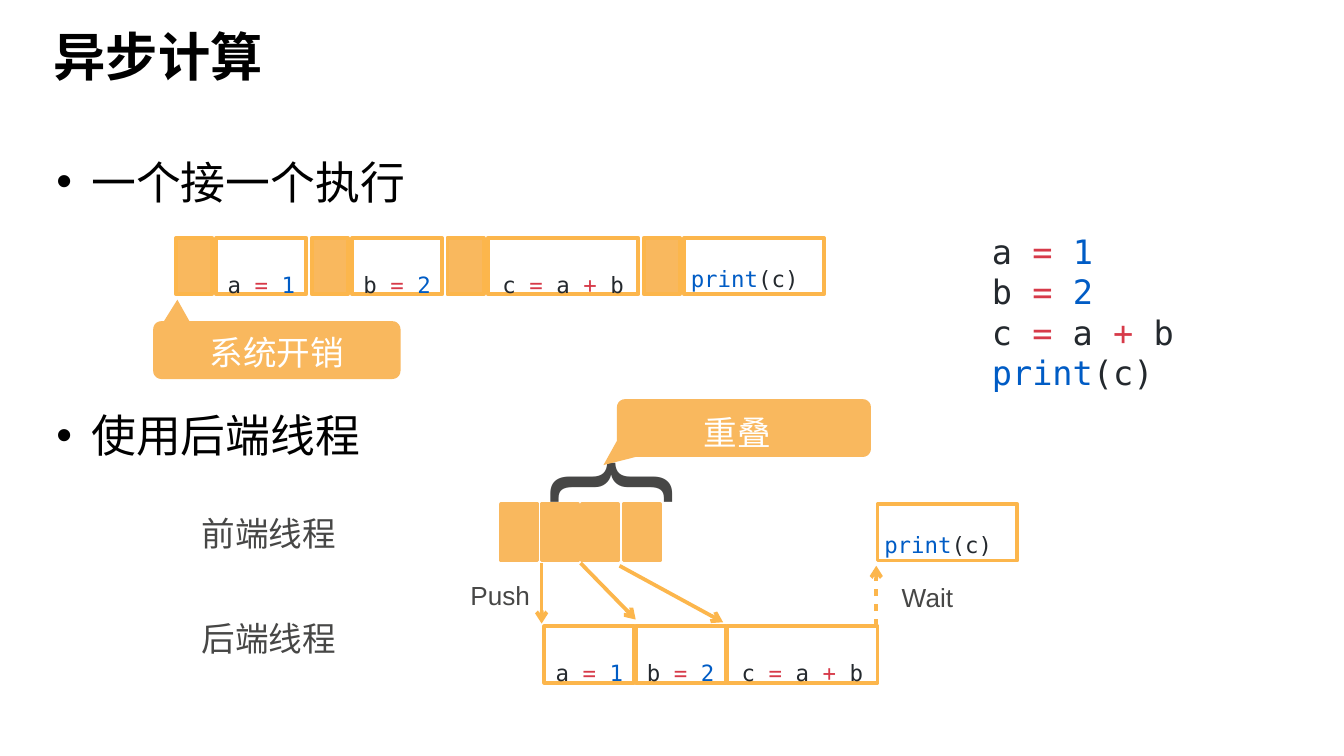
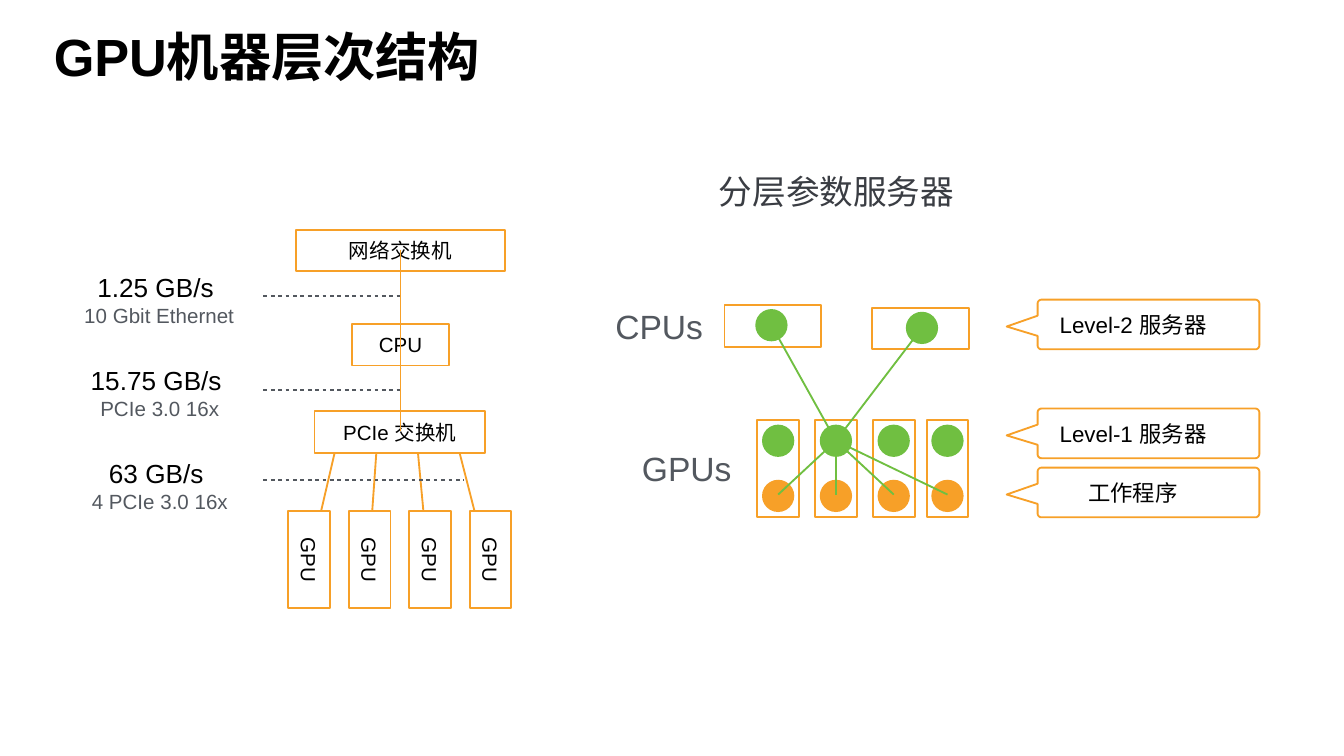
from math import cos, radians, sin

from lxml.etree import SubElement
from pptx import Presentation
from pptx.dml.color import RGBColor
from pptx.enum.shapes import MSO_CONNECTOR, MSO_SHAPE
from pptx.enum.text import MSO_ANCHOR, MSO_AUTO_SIZE, PP_ALIGN
from pptx.oxml.ns import qn
from pptx.util import Inches, Pt

# Shared colours and fonts
BLACK, WHITE, GRAY, SLATE = "000000", "FFFFFF", "474746", "53585F"
AMBER, AMBER_LINE, ORANGE, GREEN = "F9B85E", "FCB64C", "F7A028", "70BF41"
CODE, RED, BLUE = "24292E", "D73A49", "005CC5"
TOKENS = {"=": RED, "+": RED, "1": BLUE, "2": BLUE, "print": BLUE}
SANS, MONO = "Arial", "DejaVu Sans Mono"
LEFT, CENTER = PP_ALIGN.LEFT, PP_ALIGN.CENTER
TOP, MIDDLE, BOTTOM = MSO_ANCHOR.TOP, MSO_ANCHOR.MIDDLE, MSO_ANCHOR.BOTTOM
RECT, OVAL = MSO_SHAPE.RECTANGLE, MSO_SHAPE.OVAL


def paint(shape, fill=None, line=None, width=1):
    """Set fill and outline; None leaves either one out."""
    shape.shadow.inherit = False
    for part, color in ((shape.fill, fill), (shape.line.fill, line)):
        if color:
            part.solid()
            part.fore_color.rgb = RGBColor.from_string(color)
        else:
            part.background()
    if line:
        shape.line.width = Pt(width)


def write(shape, lines, size, color, font=SANS, align=LEFT, anchor=TOP,
          inset=0.05, wrap=True, spacing=None, bold=False):
    """Fill a shape with paragraphs; "|" splits a line into coloured tokens."""
    frame = shape.text_frame
    frame.auto_size = MSO_AUTO_SIZE.NONE
    frame.word_wrap = wrap
    frame.vertical_anchor = anchor
    frame.margin_left = frame.margin_right = Inches(inset)
    frame.margin_top = frame.margin_bottom = Inches(inset)
    for number, line in enumerate(lines):
        para = frame.add_paragraph() if number else frame.paragraphs[0]
        para.alignment = align
        if spacing:
            para.line_spacing = Pt(spacing)
        for token in line.split("|"):
            span = para.add_run()
            span.text = token
            span.font.name = font
            span.font.size = Pt(size)
            span.font.bold = bold
            token_color = TOKENS.get(token.strip(), color)
            span.font.color.rgb = RGBColor.from_string(token_color)


# Deck and titles, 16:9
deck = Presentation()
deck.slide_width = Inches(10)
deck.slide_height = Inches(10 * 9 / 16)
pages = []
for heading in ("异步计算", "GPU机器层次结构"):
    page = deck.slides.add_slide(deck.slide_layouts[5])
    title = page.shapes.title
    title.left, title.top = Inches(0.35), Inches(0.13)
    title.width, title.height = Inches(8.97), Inches(0.6)
    write(title, [heading], 28, BLACK, bold=True)
    pages.append(page)
async_page, gpu_page = pages

# Async page: bullets
bullets = async_page.shapes.add_textbox(Inches(0.37), Inches(1.1), Inches(8.97), Inches(3.89))
write(bullets, ["一个接一个执行", "使用后端线程"], 24, BLACK)
for para in bullets.text_frame.paragraphs:
    properties = para._p.get_or_add_pPr()
    properties.set("marL", str(Inches(0.26)))
    properties.set("indent", str(-Inches(0.26)))
    SubElement(properties, qn("a:buFont")).set("typeface", SANS)
    SubElement(properties, qn("a:buChar")).set("char", "•")
bullets.text_frame.paragraphs[1].space_before = Pt(107)

# Async page: program listing
listing = async_page.shapes.add_textbox(Inches(7.33), Inches(1.67), Inches(1.63), Inches(1.33))
write(listing, ["a |= |1", "b |= |2", "c |=| a |+| b", "print|(c)"], 18, CODE, MONO, wrap=False)

# Async page: overhead blocks and statements in both timelines
statements = [("a |= |1", 0.67), ("b |= |2", 0.67), ("c |=| a |+ |b", 1.12), ("print|(c)", 1.04)]
overheads = [(left, 3.75, AMBER) for left in (3.73, 4.03, 4.33, 4.64)]
runs = []
serial_left, backend_left = 1.31, 4.05
for code, width in statements:
    overheads.append((serial_left, 1.77, AMBER_LINE))
    runs.append((code, serial_left + 0.3, 1.77, width))
    serial_left += width + 0.34
    if code.startswith("print"):
        runs.append((code, 6.53, 3.75, width))
    else:
        runs.append((code, backend_left, 4.66, width))
        backend_left += width + 0.01

for left, top, line in overheads:
    block = async_page.shapes.add_shape(RECT, Inches(left), Inches(top), Inches(0.27), Inches(0.42))
    paint(block, AMBER, line, 2)
for code, left, top, width in runs:
    block = async_page.shapes.add_shape(RECT, Inches(left), Inches(top), Inches(width), Inches(0.42))
    paint(block, WHITE, AMBER_LINE, 2)
    is_print = code.startswith("print")
    write(block, [code], 12, CODE, MONO, LEFT if is_print else CENTER, MIDDLE,
          spacing=28 if is_print else 34)

# Async page: thread and arrow labels, and the brace over the overlap
for label, left, top, width, height, size in (
        ("前端线程", 1.45, 3.77, 1.11, 0.4, 18),
        ("后端线程", 1.45, 4.55, 1.11, 0.4, 18),
        ("Push", 3.45, 4.26, 0.56, 0.32, 14),
        ("Wait", 6.66, 4.28, 0.5, 0.32, 14),
        ("}", 4.17, 2.98, 0.44, 1.21, 70)):
    box = async_page.shapes.add_textbox(Inches(left), Inches(top), Inches(width), Inches(height))
    write(box, [label], size, GRAY, wrap=False)
    if label == "}":
        box.rotation = 270

# GPU page: machine boxes
machines = [("网络交换机", 2.2, 1.71, 1.56, 0), ("CPU", 2.62, 2.41, 0.72, 0),
            ("PCIe 交换机", 2.34, 3.06, 1.27, 0)]
machines += [("GPU", 1.94 + 0.45 * gpu, 4.01, 0.72, 90) for gpu in range(4)]
for label, left, top, width, turn in machines:
    box = gpu_page.shapes.add_shape(RECT, Inches(left), Inches(top), Inches(width), Inches(0.31))
    box.rotation = turn
    paint(box, None, ORANGE)
    write(box, [label], 11, BLACK, align=CENTER, anchor=MIDDLE, inset=0.03)

# GPU page: bandwidth labels
for speed, link, left, top, width in (
        ("1.25 GB/s ", "10 Gbit Ethernet", 0.46, 1.91, 1.45),
        ("15.75 GB/s ", "PCIe 3.0 16x", 0.52, 2.6, 1.34),
        ("63 GB/s ", "4 PCIe 3.0 16x", 0.58, 3.29, 1.22)):
    box = gpu_page.shapes.add_textbox(Inches(left), Inches(top), Inches(width), Inches(0.64))
    write(box, [speed, link], 14, BLACK, align=CENTER, anchor=MIDDLE, inset=0.03)
    span = box.text_frame.paragraphs[1].runs[0]
    span.font.size = Pt(11)
    span.font.color.rgb = RGBColor.from_string(SLATE)

# GPU page: parameter server labels
for label, left, top, width, height, color, align in (
        ("分层参数服务器", 5.32, 0.94, 3.63, 0.96, "3A3D43", LEFT),
        ("CPUs", 4.54, 2.26, 0.73, 0.34, SLATE, CENTER),
        ("GPUs", 4.74, 3.31, 0.74, 0.34, SLATE, CENTER)):
    box = gpu_page.shapes.add_textbox(Inches(left), Inches(top), Inches(width), Inches(height))
    write(box, [label], 18, color, align=align, anchor=MIDDLE, inset=0.03, wrap=align == LEFT)

# GPU page: server and worker nodes inside their devices
worker_lefts = (5.67, 6.1, 6.53, 6.93)
nodes = [(5.62, 2.3, GREEN), (6.74, 2.32, GREEN)]
devices = [(5.39, 2.27, 0), (6.49, 2.29, 0)]
for left in worker_lefts:
    nodes += [(left, 3.16, GREEN), (left, 3.57, ORANGE)]
    devices.append((left - 0.24, 3.33, 90))
for left, top, color in nodes:
    node = gpu_page.shapes.add_shape(OVAL, Inches(left), Inches(top), Inches(0.24), Inches(0.24))
    paint(node, color)
for left, top, turn in devices:
    device = gpu_page.shapes.add_shape(RECT, Inches(left), Inches(top), Inches(0.72), Inches(0.31))
    device.rotation = turn
    paint(device, None, ORANGE)

# Lines of both pages: page, start, end, colour, width, dashed, arrow
hub = (6.22, 3.28)
lines = [
    (async_page, (4.03, 4.19), (4.03, 4.64), AMBER_LINE, 2, False, True),
    (async_page, (4.32, 4.19), (4.73, 4.61), AMBER_LINE, 2, False, True),
    (async_page, (4.61, 4.21), (5.38, 4.63), AMBER_LINE, 2, False, True),
    (async_page, (6.52, 4.66), (6.52, 4.21), AMBER_LINE, 2, True, True),
    (gpu_page, (2.98, 3.21), (2.98, 2.57), ORANGE, 1, False, False),
    (gpu_page, (2.98, 1.86), (2.98, 2.57), ORANGE, 1, False, False)]
for gpu in range(4):
    lines.append((gpu_page, (2.49 + 0.31 * gpu, 3.37), (2.39 + 0.38 * gpu, 3.8),
                  ORANGE, 1, False, False))
for right, top in ((2.98, 2.2), (2.98, 2.9), (3.45, 3.57)):
    lines.append((gpu_page, (1.96, top), (right, top), SLATE, 1, True, False))
for end in [(5.74, 2.42), (6.86, 2.44)] + [(left + 0.12, 3.68) for left in worker_lefts]:
    lines.append((gpu_page, hub, end, GREEN, 1, False, False))

for page, start, end, color, width, dashed, arrow in lines:
    line = page.shapes.add_connector(
        MSO_CONNECTOR.STRAIGHT, *[Inches(value) for value in start + end])
    line.line.color.rgb = RGBColor.from_string(color)
    line.line.width = Pt(width)
    outline = line.line._get_or_add_ln()
    if dashed:
        dash = SubElement(SubElement(outline, qn("a:custDash")), qn("a:ds"))
        dash.set("d", "200000")
        dash.set("sp", "200000")
    if arrow:
        SubElement(outline, qn("a:tailEnd")).set("type", "arrow")
    SubElement(line._element.spPr, qn("a:effectLst"))

# Callouts of both pages: the tip goes in at a slot among the four corners
callouts = [
    (async_page, "系统开销", 1.14, 2.39, 1.84, 0.43,
     [(1.22, 2.39), (1.32, 2.23), (1.41, 2.39)], 1, 0, BOTTOM),
    (async_page, "重叠", 4.59, 2.97, 1.89, 0.43,
     [(4.73, 3.4), (4.49, 3.46), (4.59, 3.28)], 3, 1, MIDDLE)]
for label, top in (("Level-2 服务器", 2.23), ("Level-1 服务器", 3.04), ("工作程序", 3.48)):
    tip = [(7.72, top + 0.27), (7.49, top + 0.2), (7.72, top + 0.12)]
    callouts.append((gpu_page, label, 7.72, top, 1.65, 0.37, tip, 4, 0, MIDDLE))

for page, label, left, top, width, height, tip, slot, replaced, anchor in callouts:
    filled = page is async_page
    radius = 0.06 if filled else 0.03
    near_x, far_x = left + radius, left + width - radius
    near_y, far_y = top + radius, top + height - radius
    corners = []
    for x, y, turn in ((near_x, near_y, 180), (far_x, near_y, 270),
                       (far_x, far_y, 0), (near_x, far_y, 90)):
        angles = [radians(turn + 18 * step) for step in range(6)]
        corners.append([(x + radius * cos(a), y + radius * sin(a)) for a in angles])
    corners[slot:slot + replaced] = [tip]
    points = [(Inches(x), Inches(y)) for corner in corners for x, y in corner]
    builder = page.shapes.build_freeform(*points[0])
    builder.add_line_segments(points[1:], close=True)
    callout = builder.convert_to_shape()
    if filled:
        paint(callout, AMBER)
        write(callout, [label], 18, WHITE, align=CENTER, anchor=anchor)
    else:
        paint(callout, None, ORANGE)
        write(callout, [label], 12, BLACK, align=CENTER, anchor=anchor, inset=0.03)

deck.save("out.pptx")
